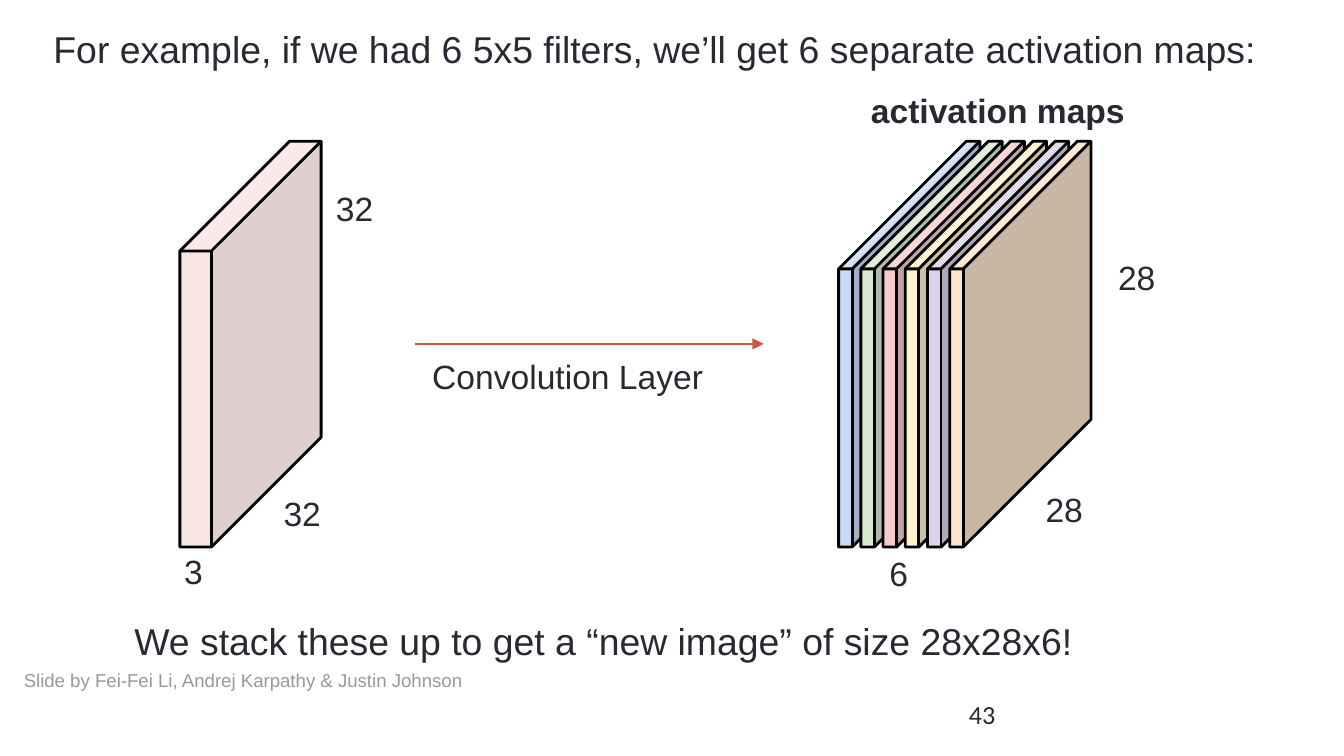
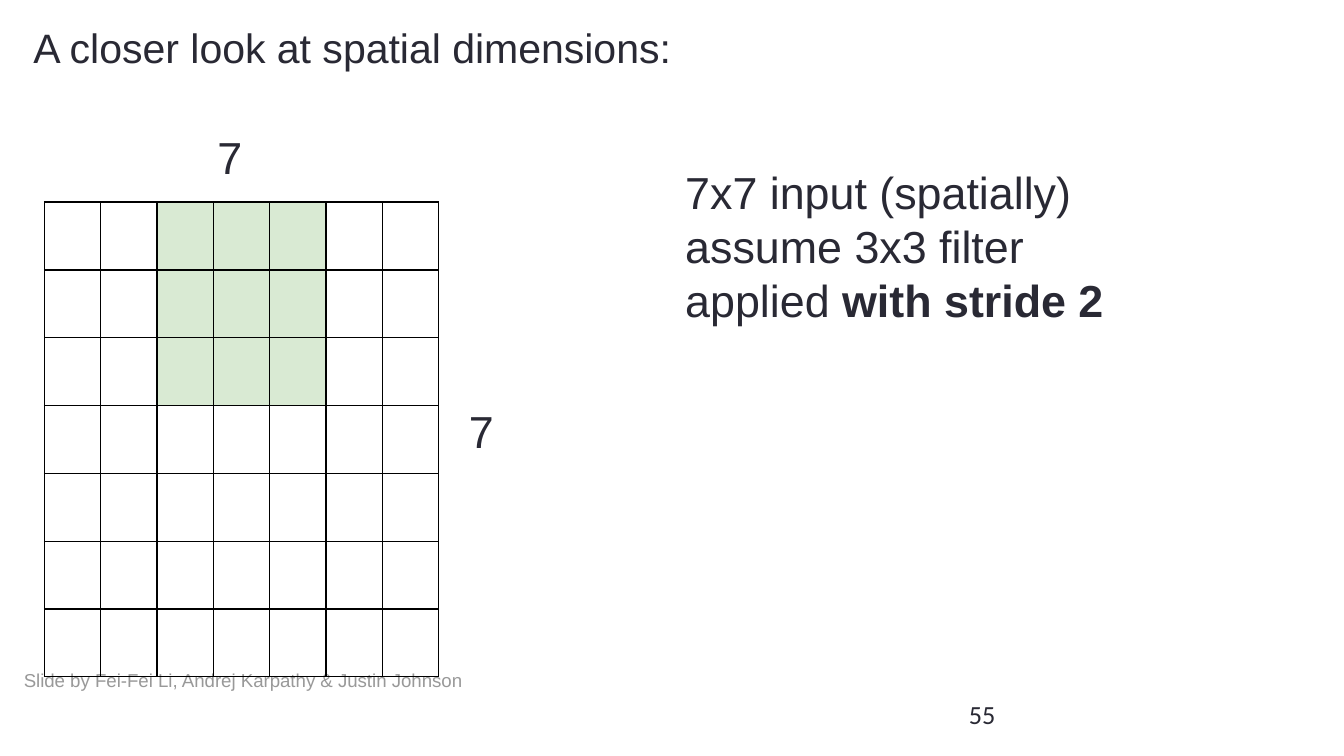
"""Build two slides on convolution layers and their spatial dimensions."""
from lxml.etree import SubElement
from pptx import Presentation
from pptx.dml.color import RGBColor
from pptx.enum.shapes import MSO_CONNECTOR, MSO_SHAPE
from pptx.enum.text import MSO_ANCHOR, MSO_AUTO_SIZE, PP_ALIGN
from pptx.oxml.ns import qn
from pptx.util import Cm, Pt

COLORS = {
    "text": "292934", "credit": "999999", "line": "000000", "arrow": "D2533C",
    "white": "FFFFFF", "blue": "C9DAF8", "green": "D9EAD3", "pink": "F4CCCC",
    "yellow": "FFF2CC", "purple": "D9D2E9", "orange": "FCE5CD",
}
CREDIT = "Slide by Fei-Fei Li, Andrej Karpathy & Justin Johnson"
INSET = Cm(0.25)

STACK = {
    "number": "43",
    "title": ("For example, if we had 6 5x5 filters, we’ll get 6 separate activation maps:",
              (0.76, 0.25, 24.23, 1.07), 20),
    "labels": [
        ("32", (5.11, 9.07, 1.37, 0.86), 18, False),
        ("32", (6.1, 3.3, 1.37, 0.79), 18, False),
        ("3", (3.23, 10.16, 1.37, 0.51), 18, False),
        ("Convolution Layer", (7.92, 6.48, 9.09, 2.26), 18, False),
        ("activation maps", (16.21, 1.45, 5.74, 1.5), 18, True),
        ("6", (16.56, 10.21, 0.91, 0.86), 18, False),
        ("28", (19.51, 8.99, 1.37, 0.86), 18, False),
        ("28", (20.88, 4.6, 1.37, 0.86), 18, False),
        ("We stack these up to get a “new image” of size 28x28x6!",
         (2.29, 11.43, 23.95, 0.79), 20, False),
    ],
}
MAPS = ["blue", "green", "pink", "yellow", "purple", "orange"]
MAP_LEFT, MAP_STEP = 15.85, 0.42
CUBE_TOP, CUBE_W, CUBE_H = 2.67, 2.67, 7.67
INPUT_LEFT = 3.4
ARROW = (7.85, 6.5, 14.43, 6.5)

GRID = {
    "number": "55",
    "title": ("A closer look at spatial dimensions:", (0.38, 0.18, 23.27, 1.68), 22),
    "labels": [
        ("7", (3.86, 2.21, 1.52, 1.27), 24, False),
        ("7", (8.61, 7.39, 1.63, 0.79), 24, False),
    ],
}
SETUP = [[("7x7 input (spatially)", False)],
         [("assume 3x3 filter", False)],
         [("applied ", False), ("with stride 2", True)]]
SETUP_BOX = (12.7, 2.87, 14.22, 5.11)
TABLE_BOX = (0.84, 3.82, 7.45, 8.98)
SIZE, FILTER, STRIDE = 7, 3, 2


def rgb(name):
    return RGBColor.from_string(COLORS[name])


def place(sp, box):
    sp.left, sp.top, sp.width, sp.height = (Cm(v) for v in box)


def format_run(r, size, color="text", bold=False, font="Arial"):
    r.font.name, r.font.size, r.font.bold = font, Pt(size), bold
    r.font.color.rgb = rgb(color)


def format_frame(tf, anchor=MSO_ANCHOR.TOP):
    tf.word_wrap, tf.auto_size = True, MSO_AUTO_SIZE.NONE
    tf.vertical_anchor = anchor
    tf.margin_left = tf.margin_right = tf.margin_top = tf.margin_bottom = INSET


def add_text(s, text, box, size, bold=False, color="text", font="Arial",
             anchor=MSO_ANCHOR.TOP):
    tf = s.shapes.add_textbox(*(Cm(v) for v in box)).text_frame
    format_frame(tf, anchor)
    tf.text = text
    format_run(tf.paragraphs[0].runs[0], size, color, bold, font)


def add_base(prs, layout, content):
    s = prs.slides.add_slide(prs.slide_layouts[layout])
    add_text(s, CREDIT, (0.2, 12.32, 9.17, 1.07), 10, color="credit", anchor=MSO_ANCHOR.MIDDLE)
    add_text(s, content["number"], (18.06, 12.95, 1.52, 1.09), 14, font="Calibri",
             anchor=MSO_ANCHOR.MIDDLE)
    text, box, size = content["title"]
    place(s.shapes.title, box)
    tf = s.shapes.title.text_frame
    format_frame(tf)
    tf.text = text
    p = tf.paragraphs[0]
    p.alignment = PP_ALIGN.LEFT
    format_run(p.runs[0], size)
    for label in content["labels"]:
        add_text(s, *label)
    return s


def add_cube(s, left, color, depth, alpha=None):
    sp = s.shapes.add_shape(MSO_SHAPE.CUBE, Cm(left), Cm(CUBE_TOP), Cm(CUBE_W), Cm(CUBE_H))
    sp.shadow.inherit = False
    sp.adjustments[0] = depth
    sp.fill.solid()
    sp.fill.fore_color.rgb = rgb(color)
    sp.line.color.rgb = rgb("line")
    sp.line.width = Pt(1.5)
    if alpha:
        clr = sp._element.spPr.find(qn("a:solidFill"))[0]
        SubElement(clr, qn("a:alpha"), val=str(alpha * 1000))


def add_arrow(s, ends):
    cxn = s.shapes.add_connector(MSO_CONNECTOR.STRAIGHT, *(Cm(v) for v in ends))
    cxn.line.color.rgb = rgb("arrow")
    cxn.line.width = Pt(0.75)
    SubElement(cxn.line._get_or_add_ln(), qn("a:tailEnd"), type="triangle")
    SubElement(cxn._element.spPr, qn("a:effectLst"))


def add_borders(cell):
    tc_pr = cell._tc.get_or_add_tcPr()
    for side in "LRTB":
        ln = SubElement(tc_pr, qn(f"a:ln{side}"), w=str(Pt(0.75)))
        fill = SubElement(ln, qn("a:solidFill"))
        SubElement(fill, qn("a:srgbClr"), val=COLORS["line"])


def add_grid(s):
    tbl = s.shapes.add_table(SIZE, SIZE, *(Cm(v) for v in TABLE_BOX)).table
    tbl.first_row = tbl.horz_banding = False
    for i in range(SIZE):
        tbl.columns[i].width = Cm(TABLE_BOX[2] / SIZE)
        tbl.rows[i].height = Cm(TABLE_BOX[3] / SIZE)
        for j in range(SIZE):
            cell = tbl.cell(i, j)
            add_borders(cell)
            if i < FILTER:
                cell.fill.solid()
                covered = STRIDE <= j < STRIDE + FILTER
                cell.fill.fore_color.rgb = rgb("green" if covered else "white")
            else:
                cell.fill.background()


def fill_body(sp):
    place(sp, SETUP_BOX)
    tf = sp.text_frame
    format_frame(tf)
    for i, parts in enumerate(SETUP):
        p = tf.add_paragraph() if i else tf.paragraphs[0]
        p_pr = p._p.get_or_add_pPr()
        p_pr.set("marL", "0")
        p_pr.set("indent", "0")
        SubElement(p_pr, qn("a:buNone"))
        p.space_before = Pt(0)
        for text, bold in parts:
            r = p.add_run()
            r.text = text
            format_run(r, 24, bold=bold)


def main():
    prs = Presentation()
    prs.slide_width, prs.slide_height = Cm(25.4), Cm(14.29)

    s = add_base(prs, 5, STACK)
    add_cube(s, INPUT_LEFT, "pink", 0.777, alpha=52)
    add_arrow(s, ARROW)
    for i, color in enumerate(MAPS):
        add_cube(s, MAP_LEFT + i * MAP_STEP, color, 0.904)

    s = add_base(prs, 1, GRID)
    fill_body(s.placeholders[1])
    add_grid(s)

    prs.save("out.pptx")


if __name__ == "__main__":
    main()
